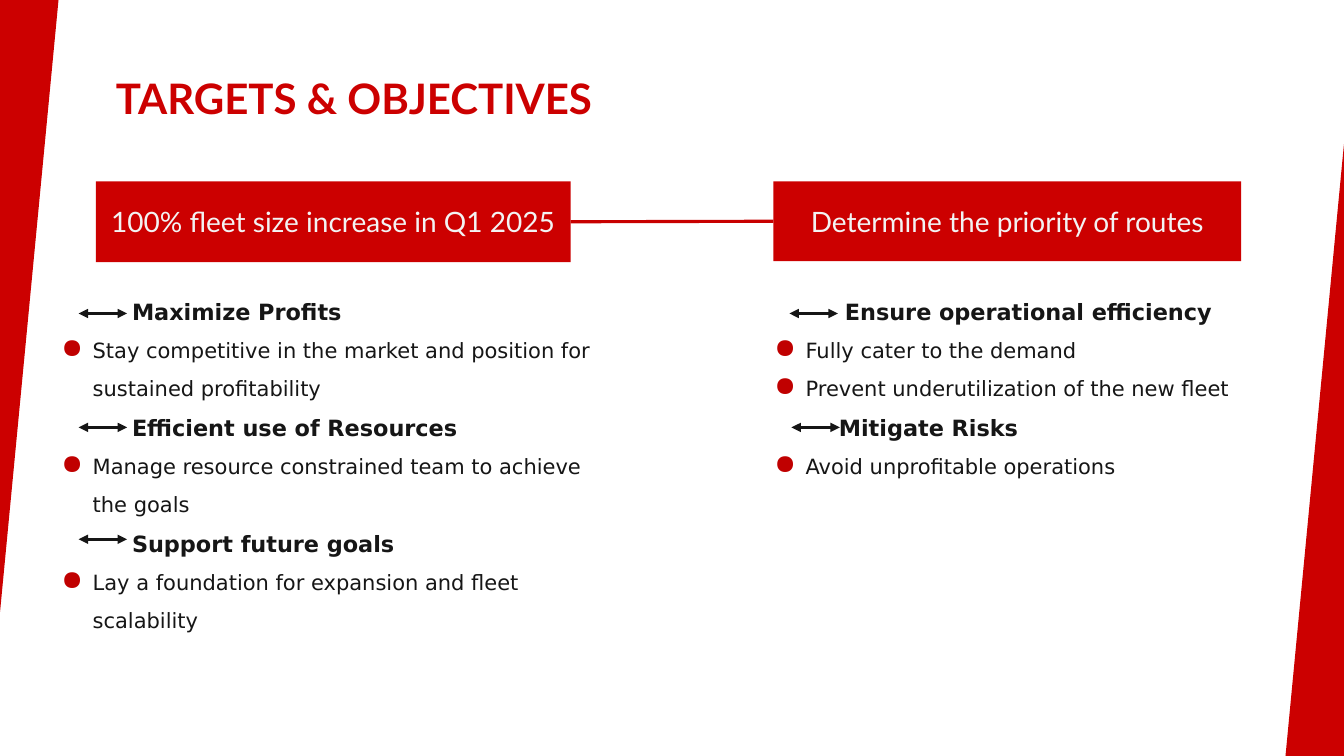
from dataclasses import dataclass
from lxml import etree
from pptx import Presentation, util as u
from pptx.dml.color import RGBColor
from pptx.enum import shapes, text
from pptx.oxml.ns import qn

TITLE = "TARGETS & OBJECTIVES"
GOALS = [
    {
        "name": "100% fleet size increase in Q1 2025",
        "bar": (0.95, 1.8, 4.71, 0.8),
        "body": (0.48, 2.83, 5.76, 4.65),
        "aims": [
            ("Maximize Profits", 0.7, (0.78, 3.11),
             ["Stay competitive in the market and position for sustained profitability"]),
            ("Efficient use of Resources", 0.7, (0.78, 4.24),
             ["Manage resource constrained team to achieve the goals"]),
            ("Support future goals", 0.7, (0.78, 5.35),
             ["Lay a foundation for expansion and fleet scalability"]),
        ],
    },
    {
        "name": "Determine the priority of routes",
        "bar": (7.67, 1.8, 4.64, 0.79),
        "body": (7.55, 2.83, 5.18, 4.53),
        "aims": [
            ("Ensure operational efficiency", 0.7, (7.83, 3.11),
             ["Fully cater to the demand", "Prevent underutilization of the new fleet"]),
            ("Mitigate Risks", 0.64, (7.85, 4.24),
             ["Avoid unprofitable operations"]),
        ],
    },
]
WEDGES = [(0, 0, 180), (12.75, 1.43, 0)]
WEDGE = (0.58, 6.07)
PAD, HANG, ARROW = 0.13, 0.31, 0.48


@dataclass(frozen=True)
class Theme:
    red: str = "CC0000"
    link: str = "C80000"
    dot: str = "C00000"
    ink: str = "161616"
    pale: str = "F3F3F3"
    head: str = "Lato"
    body: str = "DejaVu Sans"
    title: int = 30
    bar: int = 20
    aim: int = 16
    point: int = 15
    line: float = 2.25


T = Theme()


def rgb(code):
    return RGBColor.from_string(code)


def box(at):
    return [u.Inches(n) for n in at]


def style(para, face, size, color, bold=False):
    font = para.font
    font.name, font.size, font.bold = face, u.Pt(size), bold
    font.color.rgb = rgb(color)


def pad(frame, side=PAD):
    frame.word_wrap = True
    frame.margin_left = frame.margin_right = u.Inches(side)
    frame.margin_top = frame.margin_bottom = u.Inches(PAD)


def block(slide, kind, at):
    shape = slide.shapes.add_shape(kind, *box(at))
    shape.shadow.inherit = False
    shape.fill.solid()
    shape.fill.fore_color.rgb = rgb(T.red)
    shape.line.fill.background()
    return shape


def wedge(slide, left, top, turn):
    shape = block(slide, shapes.MSO_SHAPE.RIGHT_TRIANGLE, (left, top, *WEDGE))
    shape.rotation = turn
    shape._element.spPr.find(qn("a:xfrm")).set("flipH", "1")


def label(slide, at):
    frame = slide.shapes.add_textbox(*box(at)).text_frame
    pad(frame)
    return frame


def bar(slide, goal):
    shape = block(slide, shapes.MSO_SHAPE.RECTANGLE, goal["bar"])
    frame = shape.text_frame
    pad(frame, 0)
    frame.vertical_anchor = text.MSO_ANCHOR.MIDDLE
    para = frame.paragraphs[0]
    para.text = goal["name"]
    para.alignment = text.PP_ALIGN.CENTER
    style(para, T.head, T.bar, T.pale)
    return shape


def line(slide, start, end, color):
    join = slide.shapes.add_connector(
        shapes.MSO_CONNECTOR.STRAIGHT, *box(start), *box(end))
    join.line.color.rgb = rgb(color)
    join.line.width = u.Pt(T.line)
    etree.SubElement(join._element.spPr, qn("a:effectLst"))
    return join


def arrow(slide, left, top):
    join = line(slide, (left, top), (left + ARROW, top), T.ink)
    stroke = join.line._get_or_add_ln()
    for end in ("a:headEnd", "a:tailEnd"):
        etree.SubElement(stroke, qn(end), type="triangle")


def indent(para, left, first=0):
    props = para._p.get_or_add_pPr()
    props.set("marL", str(u.Inches(left)))
    props.set("indent", str(u.Inches(first)))
    return props


def bullet(para):
    props = indent(para, HANG, -HANG)
    color = etree.SubElement(props, qn("a:buClr"))
    etree.SubElement(color, qn("a:srgbClr"), val=T.dot)
    etree.SubElement(props, qn("a:buSzPct"), val="130000")
    etree.SubElement(props, qn("a:buChar"), char="●")


def body(slide, goal):
    frame = label(slide, goal["body"])
    para = frame.paragraphs[0]
    for rank, (name, left, _, points) in enumerate(goal["aims"]):
        if rank:
            para = frame.add_paragraph()
            para.line_spacing = 1.5
        para.text = name
        indent(para, left)
        style(para, T.body, T.aim, T.ink, True)
        for point in points:
            para = frame.add_paragraph()
            para.text = point
            para.line_spacing = 1.5
            bullet(para)
            style(para, T.body, T.point, T.ink)


def main():
    deck = Presentation()
    deck.slide_width, deck.slide_height = box((13.33, 7.5))
    slide = deck.slides.add_slide(deck.slide_layouts[6])
    for spot in WEDGES:
        wedge(slide, *spot)
    para = label(slide, (1.02, 0.59, 11.3, 0.7)).paragraphs[0]
    para.text = TITLE
    style(para, T.head, T.title, T.red, True)
    bars = []
    for goal in GOALS:
        bars.append(bar(slide, goal))
        body(slide, goal)
        for _, _, spot, _ in goal["aims"]:
            arrow(slide, *spot)
    link = line(slide, (5.66, 2.2), (7.67, 2.2), T.link)
    link.begin_connect(bars[0], 3)
    link.end_connect(bars[1], 1)
    deck.save("out.pptx")


if __name__ == "__main__":
    main()
